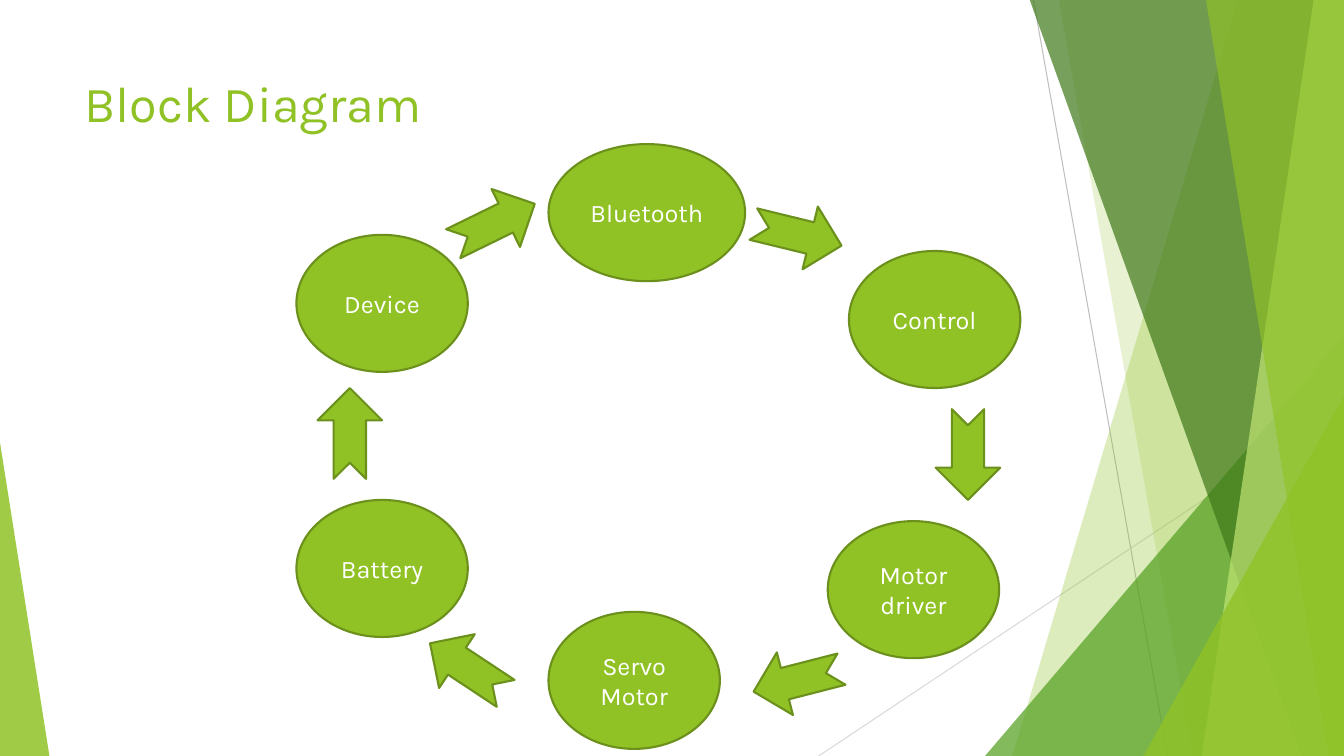
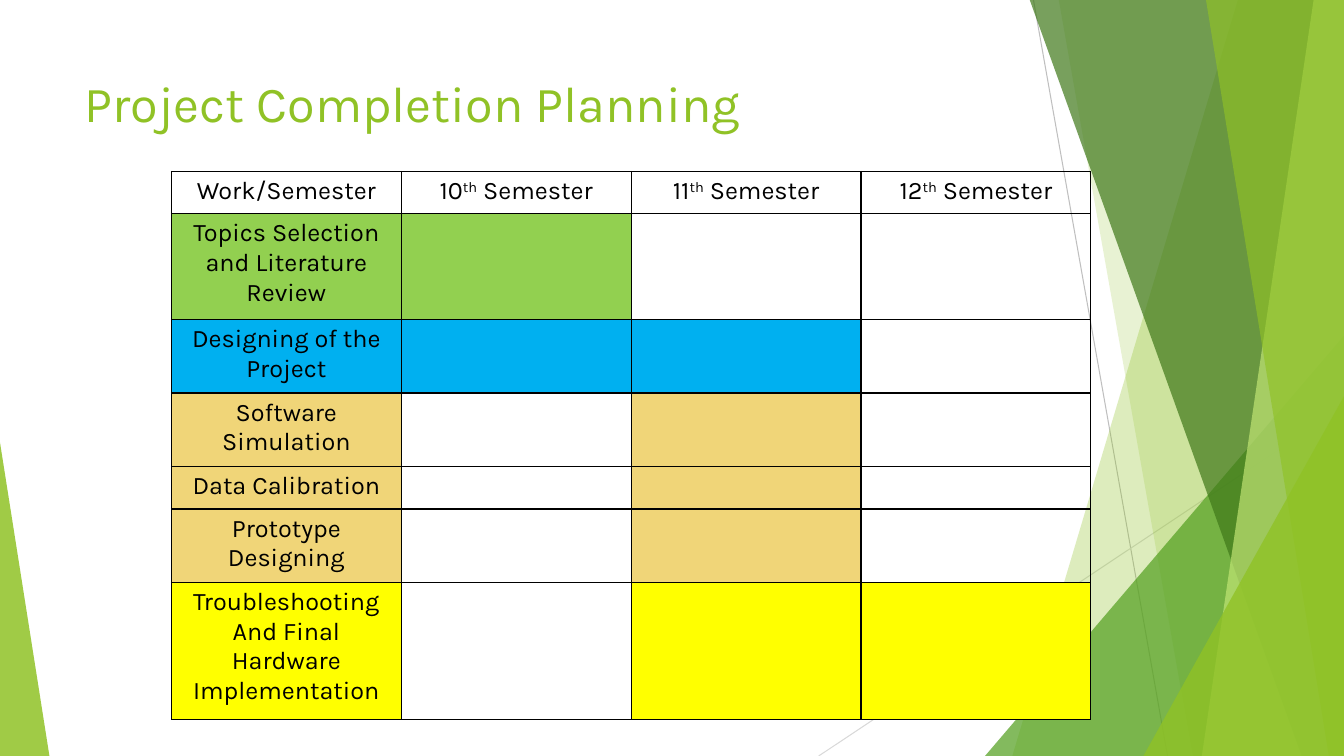
from dataclasses import dataclass

from lxml import etree
from pptx import Presentation
from pptx.dml.color import RGBColor
from pptx.enum import shapes, text
from pptx.oxml import ns
from pptx.util import Inches, Pt


@dataclass(frozen=True)
class Theme:
    font: str = "Karla"
    title_size: int = 36
    body_size: int = 18
    lime: str = "90C226"
    green: str = "54A021"
    forest: str = "3F7819"
    pale: str = "C0E474"
    outline: str = "6B901C"
    white: str = "FFFFFF"
    black: str = "000000"
    gray: str = "BFBFBF"
    light_gray: str = "D9D9D9"
    selection: str = "92D050"
    design: str = "00B0F0"
    build: str = "F0D578"
    finish: str = "FFFF00"


THEME = Theme()
WIDTH, HEIGHT = 13.33, 7.5
BAND_TOP = -0.01

RAYS = [
    ((10.25, 0), (11.58, HEIGHT), THEME.gray),
    ((WIDTH, 4.03), (8.12, HEIGHT), THEME.light_gray),
]
DECOR = [
    ("band", (12.28, 10.04), THEME.lime, 30),
    ("band", (10.5, 11.83), THEME.lime, 20),
    ("right corner", (3.56, 4.17), THEME.green, 72),
    ("band", (10.21, 12.91), THEME.forest, 70),
    ("band", (13.03, 11.92), THEME.pale, 70),
    ("band", (11.96, 13.18), THEME.lime, 65),
    ("right corner", (1.99, 3.57), THEME.lime, 80),
    ("left corner", (0.49, 3.11), THEME.lime, 85),
]

NODE_WIDTH, NODE_HEIGHT = 1.7, 1.36
ARROW_WIDTH, ARROW_HEIGHT = 0.9, 0.64
NODES = [
    ("Bluetooth", 5.44, 1.43, 1.95),
    ("Control", 8.42, 2.49, NODE_WIDTH),
    ("Motor\ndriver", 8.21, 5.17, NODE_WIDTH),
    ("Servo\nMotor", 5.44, 6.07, NODE_WIDTH),
    ("Battery", 2.94, 4.96, NODE_WIDTH),
    ("Device", 2.94, 2.33, NODE_WIDTH),
]
ARROWS = [
    (7.46, 2.01, 13.7),
    (9.15, 4.19, 90),
    (7.46, 6.43, 165.6),
    (4.19, 6.31, 213.5),
    (3.02, 3.98, 270),
    (4.45, 1.9, 333.9),
]

SEMESTERS = [10, 11, 12]
TASKS = [
    ("Topics Selection and Literature Review", THEME.selection, [10], 1.05),
    ("Designing of the Project", THEME.design, [10, 11], 0.73),
    ("Software Simulation", THEME.build, [11], 0.73),
    ("Data Calibration", THEME.build, [11], 0.42),
    ("Prototype Designing", THEME.build, [11], 0.73),
    ("Troubleshooting\nAnd Final Hardware Implementation", THEME.finish, [11, 12], 1.36),
]
HEADER_HEIGHT = 0.42
COLUMN_WIDTH = 2.28
TABLE_LEFT = TABLE_TOP = 1.7


def rgb(color):
    return RGBColor.from_string(color)


def format_text(frame, size, color, align):
    for para in frame.paragraphs:
        para.alignment = align
        for span in para.runs:
            span.font.name = THEME.font
            span.font.size = Pt(size)
            span.font.color.rgb = rgb(color)


def paint(shape, color, opacity=100, outline=None):
    shape.shadow.inherit = False
    shape.fill.solid()
    shape.fill.fore_color.rgb = rgb(color)
    if opacity < 100:
        tint = shape._element.spPr.find(ns.qn("a:solidFill"))[0]
        etree.SubElement(tint, ns.qn("a:alpha"), val=str(opacity * 1000))
    if outline:
        shape.line.color.rgb = rgb(outline)
        shape.line.width = Pt(1.5)
    else:
        shape.line.fill.background()


def add_shape(page, kind, left, top, width, height):
    return page.shapes.add_shape(
        kind, Inches(left), Inches(top), Inches(width), Inches(height))


def add_band(page, top_x, bottom_x):
    corners = [(top_x, BAND_TOP), (WIDTH, BAND_TOP), (WIDTH, HEIGHT), (bottom_x, HEIGHT)]
    points = [(Inches(x), Inches(y)) for x, y in corners]
    builder = page.shapes.build_freeform(*points[0])
    builder.add_line_segments(points[1:], close=True)
    return builder.convert_to_shape()


def add_corner(page, side, width, height):
    on_right = side == "right corner"
    left = WIDTH - width if on_right else 0
    corner = add_shape(page, shapes.MSO_SHAPE.ISOSCELES_TRIANGLE,
                       left, HEIGHT - height, width, height)
    corner.adjustments[0] = 1 if on_right else 0
    return corner


def add_page(deck, title):
    page = deck.slides.add_slide(deck.slide_layouts[6])
    for start, end, color in RAYS:
        ray = page.shapes.add_connector(
            shapes.MSO_CONNECTOR.STRAIGHT, *[Inches(v) for v in start + end])
        ray.line.color.rgb = rgb(color)
        ray.line.width = Pt(0.75)
        etree.SubElement(ray._element.spPr, ns.qn("a:effectLst"))
    for kind, measures, color, opacity in DECOR:
        if kind == "band":
            part = add_band(page, *measures)
        else:
            part = add_corner(page, kind, *measures)
        paint(part, color, opacity)
    box = page.shapes.add_textbox(Inches(0.74), Inches(0.67), Inches(9.4), Inches(1.44))
    box.text_frame.word_wrap = True
    box.text_frame.text = title
    format_text(box.text_frame, THEME.title_size, THEME.lime, text.PP_ALIGN.LEFT)
    return page


def add_cycle(page):
    for (label, left, top, width), (arrow_left, arrow_top, angle) in zip(NODES, ARROWS):
        node = add_shape(page, shapes.MSO_SHAPE.OVAL, left, top, width, NODE_HEIGHT)
        paint(node, THEME.lime, outline=THEME.outline)
        node.text_frame.text = label
        node.text_frame.vertical_anchor = text.MSO_ANCHOR.MIDDLE
        format_text(node.text_frame, THEME.body_size, THEME.white, text.PP_ALIGN.CENTER)
        arrow = add_shape(page, shapes.MSO_SHAPE.NOTCHED_RIGHT_ARROW,
                          arrow_left, arrow_top, ARROW_WIDTH, ARROW_HEIGHT)
        arrow.rotation = angle
        paint(arrow, THEME.lime, outline=THEME.outline)


def style_cell(cell, color=None):
    if color:
        cell.fill.solid()
        cell.fill.fore_color.rgb = rgb(color)
    else:
        cell.fill.background()
    properties = cell._tc.get_or_add_tcPr()
    for position, side in enumerate(("lnL", "lnR", "lnT", "lnB")):
        border = etree.Element(ns.qn(f"a:{side}"), w=str(Pt(1)))
        solid = etree.SubElement(border, ns.qn("a:solidFill"))
        etree.SubElement(solid, ns.qn("a:srgbClr"), val=THEME.black)
        properties.insert(position, border)
    format_text(cell.text_frame, THEME.body_size, THEME.black, text.PP_ALIGN.CENTER)


def write_semester(cell, number):
    para = cell.text_frame.paragraphs[0]
    for part in (str(number), "th", " Semester"):
        span = para.add_run()
        span.text = part
        if part == "th":
            span._r.get_or_add_rPr().set("baseline", "30000")


def add_plan(page):
    heights = [HEADER_HEIGHT] + [task[-1] for task in TASKS]
    columns = len(SEMESTERS) + 1
    table = page.shapes.add_table(
        len(heights), columns, Inches(TABLE_LEFT), Inches(TABLE_TOP),
        Inches(COLUMN_WIDTH * columns), Inches(sum(heights))).table
    table.first_row = table.horz_banding = False
    for column in table.columns:
        column.width = Inches(COLUMN_WIDTH)
    for row, height in zip(table.rows, heights):
        row.height = Inches(height)

    table.cell(0, 0).text_frame.text = "Work/Semester"
    style_cell(table.cell(0, 0))
    for column, number in enumerate(SEMESTERS, 1):
        write_semester(table.cell(0, column), number)
        style_cell(table.cell(0, column))
    for row, (label, color, active, _) in enumerate(TASKS, 1):
        table.cell(row, 0).text_frame.text = label
        style_cell(table.cell(row, 0), color)
        for column, number in enumerate(SEMESTERS, 1):
            style_cell(table.cell(row, column), color if number in active else None)


def main():
    deck = Presentation()
    deck.slide_width, deck.slide_height = Inches(WIDTH), Inches(HEIGHT)
    add_cycle(add_page(deck, "Block Diagram"))
    add_plan(add_page(deck, "Project Completion Planning"))
    deck.save("out.pptx")


if __name__ == "__main__":
    main()
